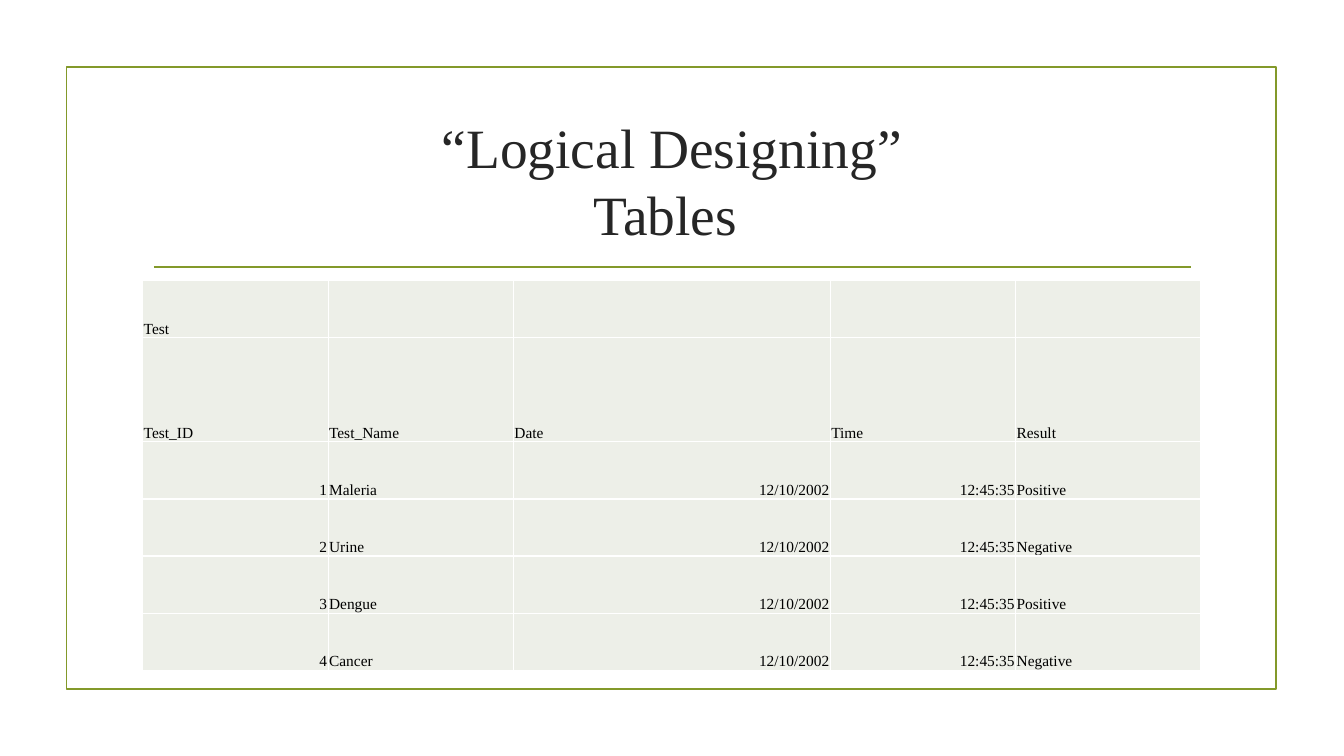
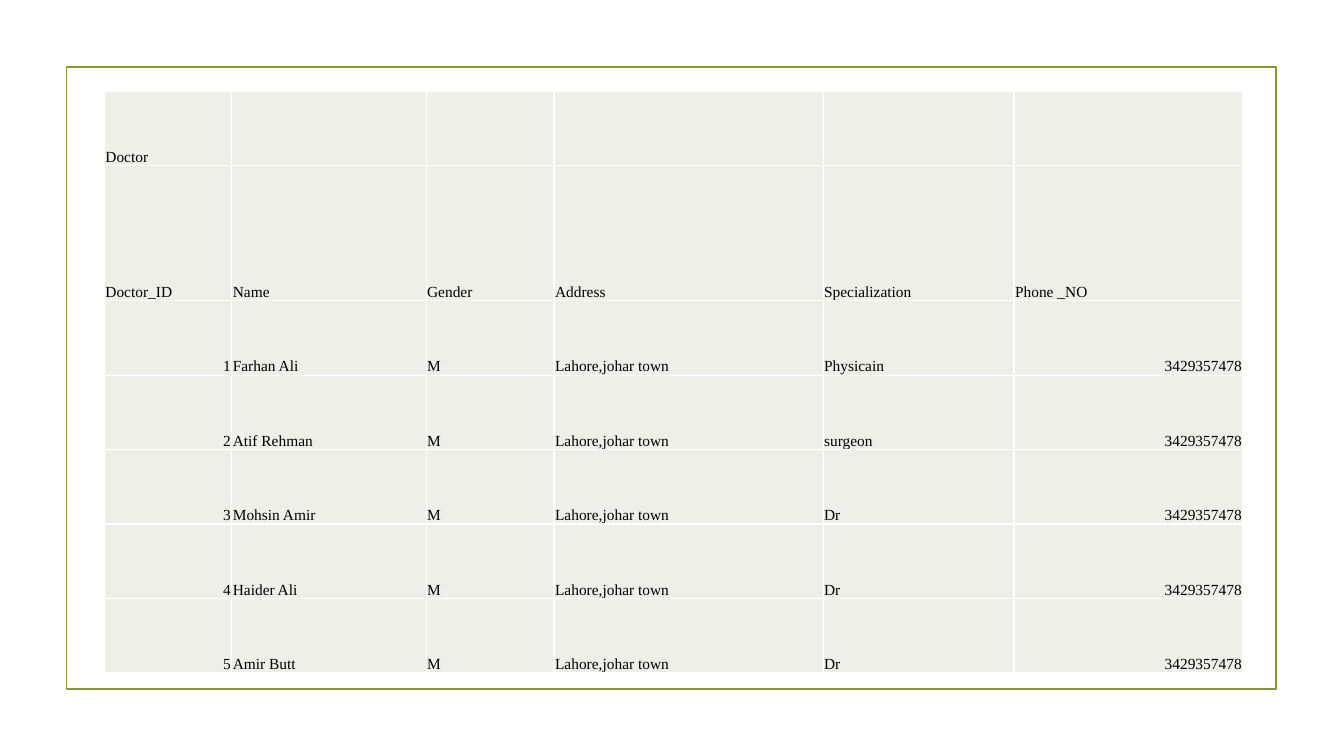
from lxml import etree
from pptx import Presentation
from pptx.dml.color import RGBColor
from pptx.enum.shapes import MSO_CONNECTOR, MSO_SHAPE
from pptx.enum.text import MSO_ANCHOR, PP_ALIGN
from pptx.oxml.ns import qn
from pptx.util import Pt

RECTANGLE = MSO_SHAPE.RECTANGLE
STRAIGHT = MSO_CONNECTOR.STRAIGHT
MIDDLE, BOTTOM = MSO_ANCHOR.MIDDLE, MSO_ANCHOR.BOTTOM
LEFT, CENTER, RIGHT = PP_ALIGN.LEFT, PP_ALIGN.CENTER, PP_ALIGN.RIGHT

FONT = "Times New Roman"
COLORS = {
    "accent": "83992A",
    "title": "262626",
    "text": "000000",
    "cell": "EDEFE8",
    "border": "FFFFFF",
}
TITLE_ONLY, BLANK = 5, 6

TEST_ROWS = [
    ["Test", "", "", "", ""],
    ["Test_ID", "Test_Name", "Date", "Time", "Result"],
]
for number, (name, result) in enumerate(
    [("Maleria", "Positive"), ("Urine", "Negative"),
     ("Dengue", "Positive"), ("Cancer", "Negative")], 1
):
    TEST_ROWS.append([str(number), name, "12/10/2002", "12:45:35", result])

DOCTOR_ROWS = [
    ["Doctor", "", "", "", "", ""],
    ["Doctor_ID", "Name", "Gender", "Address", "Specialization", "Phone _NO"],
]
for number, (name, specialization) in enumerate(
    [("Farhan Ali", "Physicain"), ("Atif Rehman", "surgeon"),
     ("Mohsin Amir", "Dr"), ("Haider Ali", "Dr"), ("Amir Butt", "Dr")], 1
):
    DOCTOR_ROWS.append(
        [str(number), name, "M", "Lahore,johar town", specialization, "3429357478"]
    )

SLIDES = [
    {
        "title": "“Logical Designing”\vTables ",
        "rows": TEST_ROWS,
        "position": (102, 200.4),
        "widths": [132.4, 132.4, 226.4, 132.4, 132.4],
        "row_height": 40.8,
        "header_height": 74.4,
    },
    {
        "title": None,
        "rows": DOCTOR_ROWS,
        "position": (74.6, 65),
        "widths": [91, 138.8, 91.4, 192.2, 136.4, 163.4],
        "row_height": 53.2,
        "header_height": 96.6,
    },
]


def write_text(text_frame, text, size, color, align):
    paragraph = text_frame.paragraphs[0]
    paragraph.text = text
    paragraph.alignment = align
    for run in paragraph.runs:
        run.font.name = FONT
        run.font.size = Pt(size)
        run.font.color.rgb = RGBColor.from_string(COLORS[color])


def format_cell(cell):
    cell.vertical_anchor = BOTTOM
    cell.margin_left = cell.margin_right = cell.margin_top = Pt(0.7)
    cell.margin_bottom = Pt(0)
    properties = cell._tc.get_or_add_tcPr()
    for side in ("a:lnL", "a:lnR", "a:lnT", "a:lnB"):
        border = etree.SubElement(properties, qn(side), w=str(Pt(1)))
        fill = etree.SubElement(border, qn("a:solidFill"))
        etree.SubElement(fill, qn("a:srgbClr"), val=COLORS["border"])
    cell.fill.solid()
    cell.fill.fore_color.rgb = RGBColor.from_string(COLORS["cell"])


presentation = Presentation()
presentation.slide_width = Pt(960)
presentation.slide_height = Pt(540)

for content in SLIDES:
    layout = presentation.slide_layouts[TITLE_ONLY if content["title"] else BLANK]
    slide = presentation.slides.add_slide(layout)

    frame = slide.shapes.add_shape(RECTANGLE, Pt(47.6), Pt(48), Pt(864), Pt(444))
    frame.shadow.inherit = False
    frame.fill.background()
    outlines = [frame.line]

    if content["title"]:
        title = slide.shapes.title
        title.left, title.top, title.width, title.height = Pt(102), Pt(77), Pt(756), Pt(103)
        title.text_frame.vertical_anchor = MIDDLE
        write_text(title.text_frame, content["title"], size=39.6, color="title", align=CENTER)

        rule = slide.shapes.add_connector(STRAIGHT, Pt(110), Pt(190.8), Pt(850.4), Pt(190.8))
        etree.SubElement(rule._element.spPr, qn("a:effectLst"))
        outlines.append(rule.line)

    for outline in outlines:
        outline.color.rgb = RGBColor.from_string(COLORS["accent"])
        outline.width = Pt(1.25)

    rows, widths = content["rows"], content["widths"]
    heights = [content["row_height"]] * len(rows)
    heights[1] = content["header_height"]
    left, top = content["position"]
    table = slide.shapes.add_table(
        len(rows), len(widths), Pt(left), Pt(top), Pt(sum(widths)), Pt(sum(heights))
    ).table
    table.first_row = table.horz_banding = False
    for column, width in zip(table.columns, widths):
        column.width = Pt(width)
    for row, height, values in zip(table.rows, heights, rows):
        row.height = Pt(height)
        for cell, value in zip(row.cells, values):
            format_cell(cell)
            align = RIGHT if value[:1].isdigit() else LEFT
            write_text(cell.text_frame, value, size=11, color="text", align=align)

presentation.save("out.pptx")
